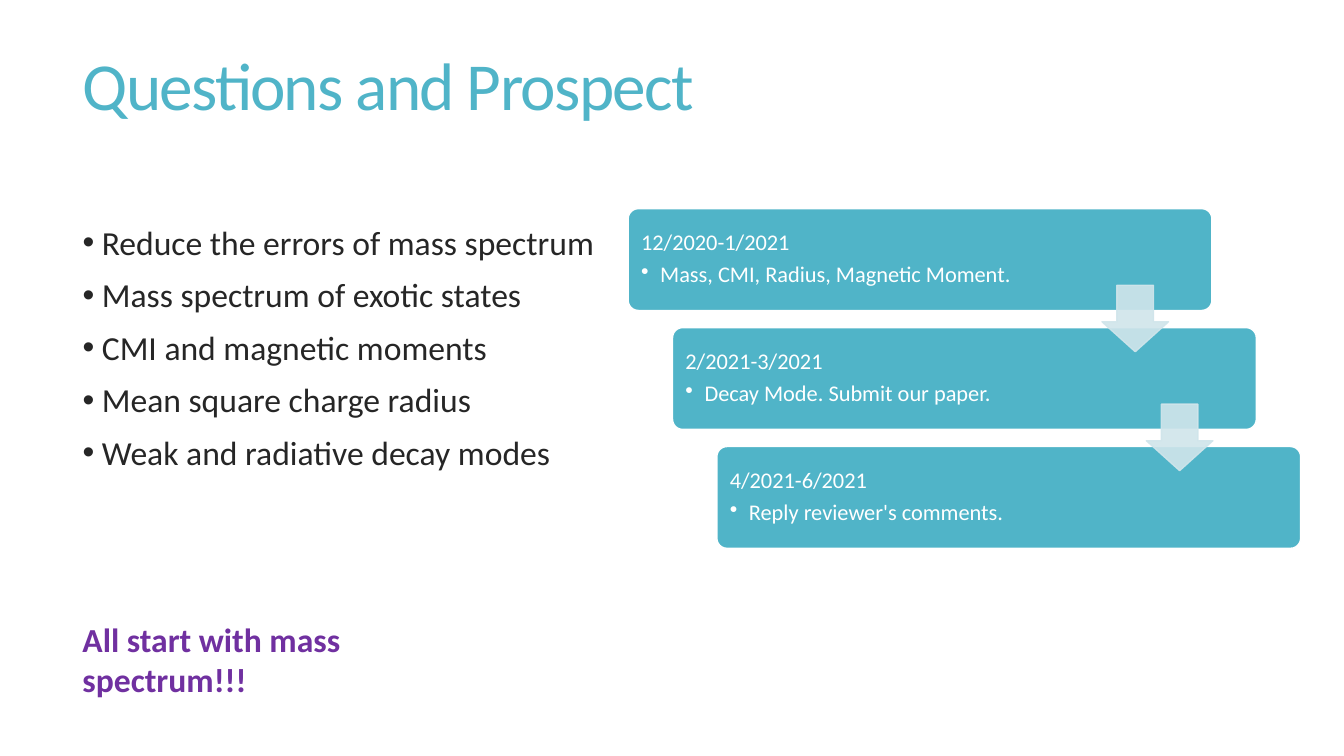
from lxml import etree
from pptx import Presentation
from pptx.dml.color import RGBColor
from pptx.enum.shapes import MSO_SHAPE
from pptx.enum.text import MSO_ANCHOR, MSO_AUTO_SIZE, PP_ALIGN
from pptx.oxml.ns import qn
from pptx.util import Inches, Pt

ROUNDED = MSO_SHAPE.ROUNDED_RECTANGLE
DOWN_ARROW = MSO_SHAPE.DOWN_ARROW
TOP, MIDDLE = MSO_ANCHOR.TOP, MSO_ANCHOR.MIDDLE
NO_FIT = MSO_AUTO_SIZE.NONE
LEFT = PP_ALIGN.LEFT
TEAL, PALE, WHITE, INK, PURPLE = "50B4C8", "D0E5EB", "FFFFFF", "262626", "7030A0"

TOPICS = [
    "Reduce the errors of mass spectrum",
    "Mass spectrum of exotic states",
    "CMI and magnetic moments",
    "Mean square charge radius",
    "Weak and radiative decay modes",
]
STAGES = [
    ("12/2020-1/2021", "Mass, CMI, Radius, Magnetic Moment."),
    ("2/2021-3/2021", "Decay Mode. Submit our paper."),
    ("4/2021-6/2021", "Reply reviewer's comments."),
]
STEP_X, STEP_Y = 0.44, 1.18


def rgb(value):
    return RGBColor.from_string(value)


def apply(target, values):
    for name, value in values.items():
        setattr(target, name, value)


class SlideBuilder:
    font_name = "Calibri"

    def __init__(self, slide):
        self.slide = slide

    def place(self, shape, box):
        apply(shape, dict(zip(("left", "top", "width", "height"), map(Inches, box))))

    def frame(self, shape, anchor):
        apply(shape.text_frame, {
            "auto_size": NO_FIT, "word_wrap": True, "vertical_anchor": anchor,
            "margin_left": Inches(0.1), "margin_right": Inches(0.1),
            "margin_top": Inches(0.05), "margin_bottom": Inches(0.05),
        })
        return shape.text_frame

    def fill_text(self, paragraph, text, size, color, bold=False, bullet_indent=0, **spacing):
        paragraph.text = text
        apply(paragraph, {"alignment": LEFT, **spacing})
        if bullet_indent:
            properties = paragraph._p.get_or_add_pPr()
            properties.set("marL", str(Inches(bullet_indent)))
            properties.set("indent", str(-Inches(bullet_indent)))
            etree.SubElement(properties, qn("a:buChar")).set("char", "•")
        font = paragraph.runs[0].font
        apply(font, {"name": self.font_name, "size": Pt(size), "bold": bold})
        font.color.rgb = rgb(color)

    def title(self, text, box):
        heading = self.slide.shapes.title
        self.place(heading, box)
        paragraph = self.frame(heading, MIDDLE).paragraphs[0]
        self.fill_text(paragraph, text, 48, TEAL, line_spacing=0.85)
        paragraph.runs[0]._r.get_or_add_rPr().set("spc", "-120")

    def bullets(self, items, box):
        body = self.slide.placeholders[1]
        self.place(body, box)
        frame = self.frame(body, TOP)
        for index, item in enumerate(items):
            paragraph = frame.add_paragraph() if index else frame.paragraphs[0]
            self.fill_text(paragraph, item, 24, INK, bullet_indent=0.19,
                           line_spacing=0.85, space_before=Pt(13 if index else 0))

    def shape(self, kind, box, adjustments, fill, outline):
        shape = self.slide.shapes.add_shape(kind, *map(Inches, box))
        shape.shadow.inherit = False
        for index, value in enumerate(adjustments):
            shape.adjustments[index] = value
        shape.fill.solid()
        shape.fill.fore_color.rgb = rgb(fill)
        shape.line.color.rgb = rgb(outline)
        shape.line.width = Pt(1)
        return shape

    def stage(self, period, task, box):
        card = self.shape(ROUNDED, box, [0.1], TEAL, WHITE)
        frame = self.frame(card, MIDDLE)
        self.fill_text(frame.paragraphs[0], period, 16, WHITE,
                       line_spacing=0.9, space_after=Pt(5.5))
        self.fill_text(frame.add_paragraph(), task, 16, WHITE, bullet_indent=0.19,
                       line_spacing=0.9, space_after=Pt(2.4))

    def arrow(self, box):
        arrow = self.shape(DOWN_ARROW, box, [0.55, 0.45], PALE, PALE)
        for color in arrow._element.spPr.iter(qn("a:srgbClr")):
            etree.SubElement(color, qn("a:alpha")).set("val", "90000")

    def note(self, text, box):
        note = self.slide.shapes.add_textbox(*map(Inches, box))
        self.fill_text(self.frame(note, TOP).paragraphs[0], text, 24, PURPLE, bold=True)


def main():
    deck = Presentation()
    apply(deck, {"slide_width": Inches(13.33), "slide_height": Inches(7.5)})
    builder = SlideBuilder(deck.slides.add_slide(deck.slide_layouts[1]))
    builder.title("Questions and Prospect", (0.72, -0.01, 11.95, 1.81))
    builder.bullets(TOPICS, (0.72, 2.21, 5.88, 2.57))
    for index, (period, task) in enumerate(STAGES):
        builder.stage(period, task,
                      (6.23 + index * STEP_X, 2.07 + index * STEP_Y, 5.79, 1.01))
    for index in range(len(STAGES) - 1):
        builder.arrow((10.93 + index * STEP_X, 2.83 + index * STEP_Y, 0.66, 0.66))
    builder.note("All start with mass spectrum!!!", (0.72, 6.09, 3.4, 0.9))
    deck.save("out.pptx")


if __name__ == "__main__":
    main()
